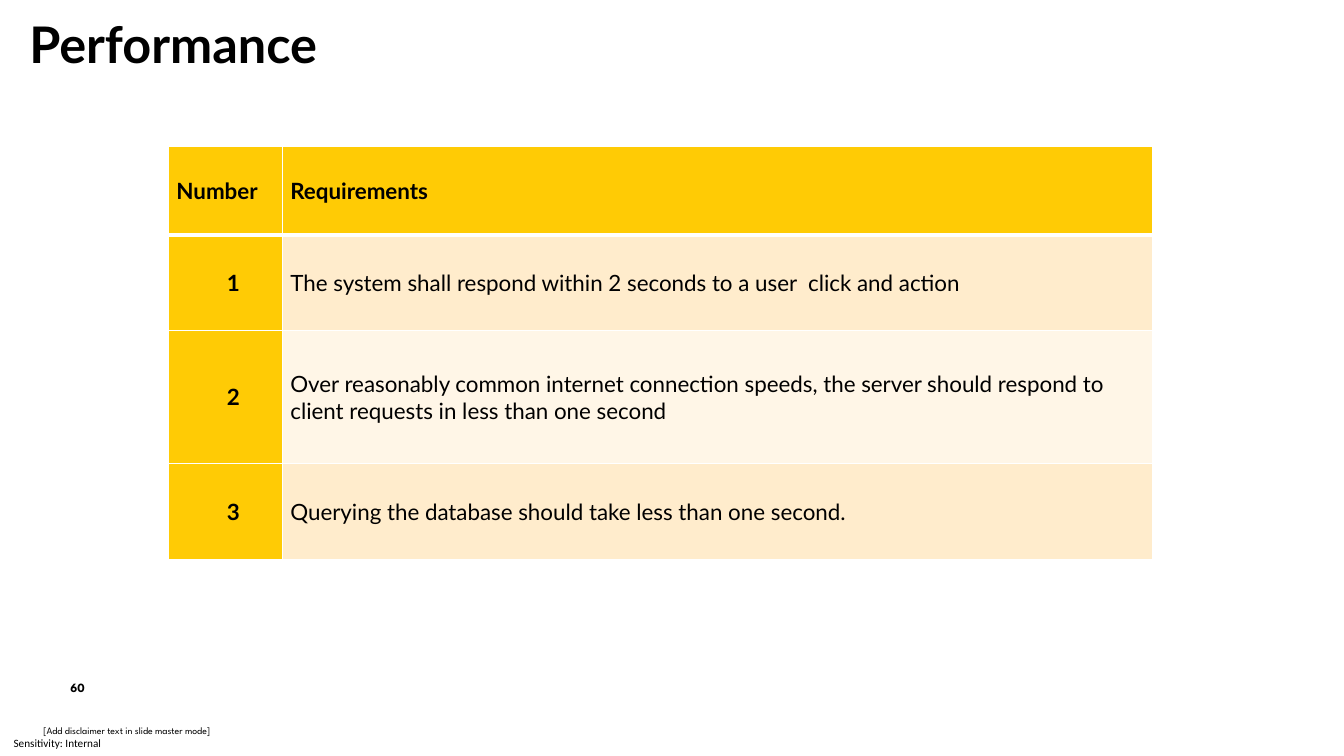
import pptx
import pptx.util
import pptx.dml.color
import pptx.enum.shapes
import pptx.enum.text
import pptx.oxml
import pptx.oxml.ns
from pptx.util import Inches

MIDDLE = pptx.enum.text.MSO_ANCHOR.MIDDLE
ALIGN = pptx.enum.text.PP_ALIGN


def color(value):
    return pptx.dml.color.RGBColor.from_string(value)


def style(p, font, size, bold=False, align=ALIGN.LEFT):
    p.alignment = align
    for r in p.runs:
        r.font.name = font
        r.font.size = pptx.util.Pt(size)
        r.font.bold = bold
        r.font.color.rgb = color("000000")


prs = pptx.Presentation()
prs.slide_width = Inches(13.33)
prs.slide_height = Inches(7.5)
s = prs.slides.add_slide(prs.slide_layouts[5])

number = s.shapes.add_shape(pptx.enum.shapes.MSO_SHAPE.OVAL, Inches(0.43), Inches(6.69), Inches(0.68), Inches(0.27))
number.shadow.inherit = False
number.fill.solid()
number.fill.fore_color.rgb = color("FFFFFF")
number.line.fill.background()
disclaimer = s.shapes.add_textbox(Inches(0.43), Inches(7.08), Inches(7.42), Inches(0.34))
sensitivity = s.shapes.add_textbox(0, Inches(7.25), Inches(1.14), Inches(0.25))

for sp, text, font, size, bold, align in [
    (number, "60", "League Spartan", 9, True, ALIGN.CENTER),
    (disclaimer, "[Add disclaimer text in slide master mode]", "League Spartan", 7, False, ALIGN.LEFT),
    (sensitivity, "Sensitivity: Internal", "Calibri", 8, False, ALIGN.CENTER),
]:
    tf = sp.text_frame
    tf.text = text
    tf.word_wrap = True
    tf.vertical_anchor = MIDDLE
    tf.margin_left = tf.margin_right = tf.margin_top = tf.margin_bottom = 0
    style(tf.paragraphs[0], font, size, bold, align)

title = s.shapes.title
title.left, title.top, title.width, title.height = Inches(0.19), Inches(0.08), Inches(3.47), Inches(0.71)
tf = title.text_frame
tf.text = "Performance"
tf.word_wrap = False
tf.auto_size = pptx.enum.text.MSO_AUTO_SIZE.SHAPE_TO_FIT_TEXT
tf.vertical_anchor = pptx.enum.text.MSO_ANCHOR.TOP
style(tf.paragraphs[0], "Lato", 36, True)

rows = [
    ("Number", "Requirements"),
    ("1", "The system shall respond within 2 seconds to a user  click and action"),
    ("2", "Over reasonably common internet connection speeds, the server should respond to client requests in less than one second"),
    ("3", "Querying the database should take less than one second."),
]
table = s.shapes.add_table(4, 2, Inches(1.67), Inches(1.45), Inches(9.76), Inches(4.1)).table
table.horz_banding = False
for column, width in zip(table.columns, [1.13, 8.63]):
    column.width = Inches(width)
for row, height in zip(table.rows, [0.88, 0.95, 1.32, 0.95]):
    row.height = Inches(height)

for i, row in enumerate(rows):
    for j, text in enumerate(row):
        cell = table.cell(i, j)
        cell.vertical_anchor = MIDDLE
        cell.margin_left = cell.margin_right = Inches(0.08)
        cell.margin_top = cell.margin_bottom = Inches(0.05)
        cell.text_frame.text = text
        p = cell.text_frame.paragraphs[0]
        style(p, "Lato", 16, i == 0 or j == 0)
        if i > 0 and j == 0:
            p._p.get_or_add_pPr().set("marL", str(Inches(0.5)))
        tcPr = cell._tc.get_or_add_tcPr()
        for side in "LRTB":
            thick = (i, side) in [(0, "B"), (1, "T")]
            tcPr.append(pptx.oxml.parse_xml(
                f'<a:ln{side} {pptx.oxml.ns.nsdecls("a")} w="{pptx.util.Pt(3 if thick else 1)}">'
                f'<a:solidFill><a:srgbClr val="FFFFFF"/></a:solidFill></a:ln{side}>'))
        cell.fill.solid()
        if i == 0 or j == 0:
            fill = "FFCB05"
        else:
            fill = "FFECCC" if i % 2 else "FFF6E7"
        cell.fill.fore_color.rgb = color(fill)

prs.save("out.pptx")
